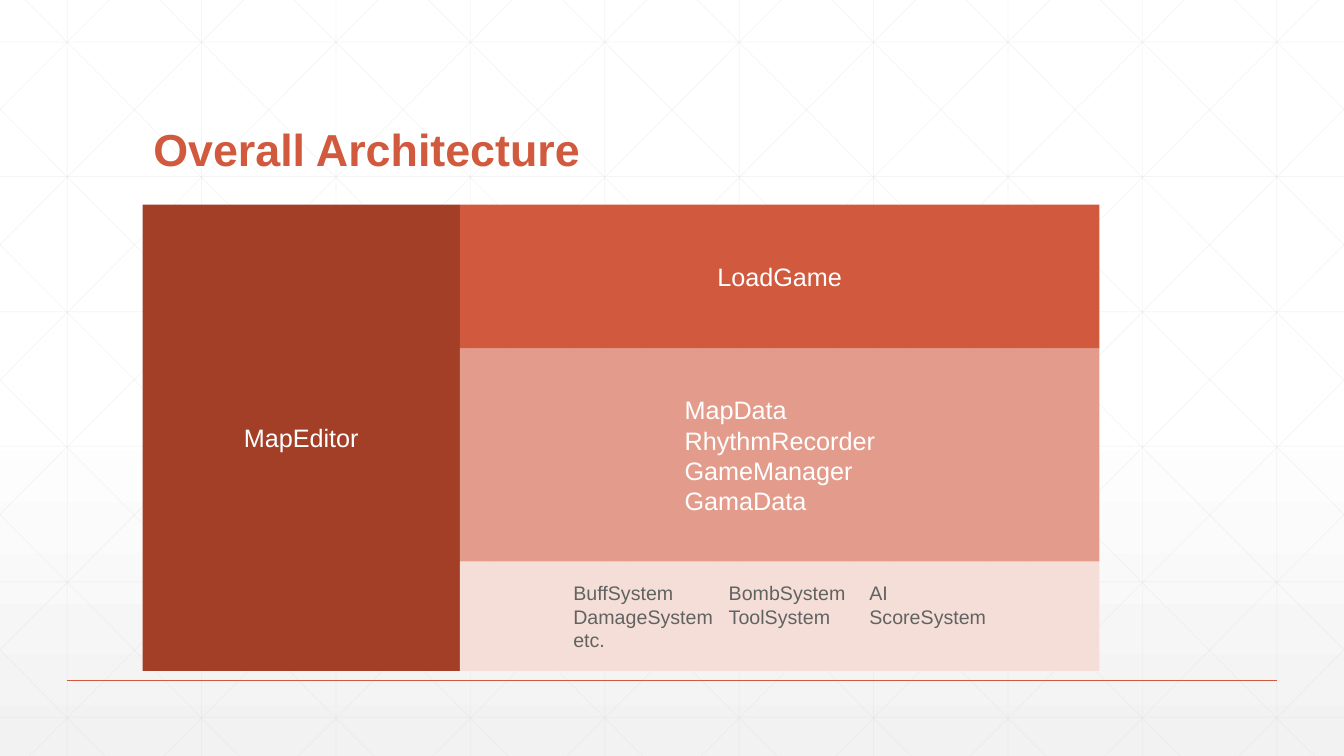
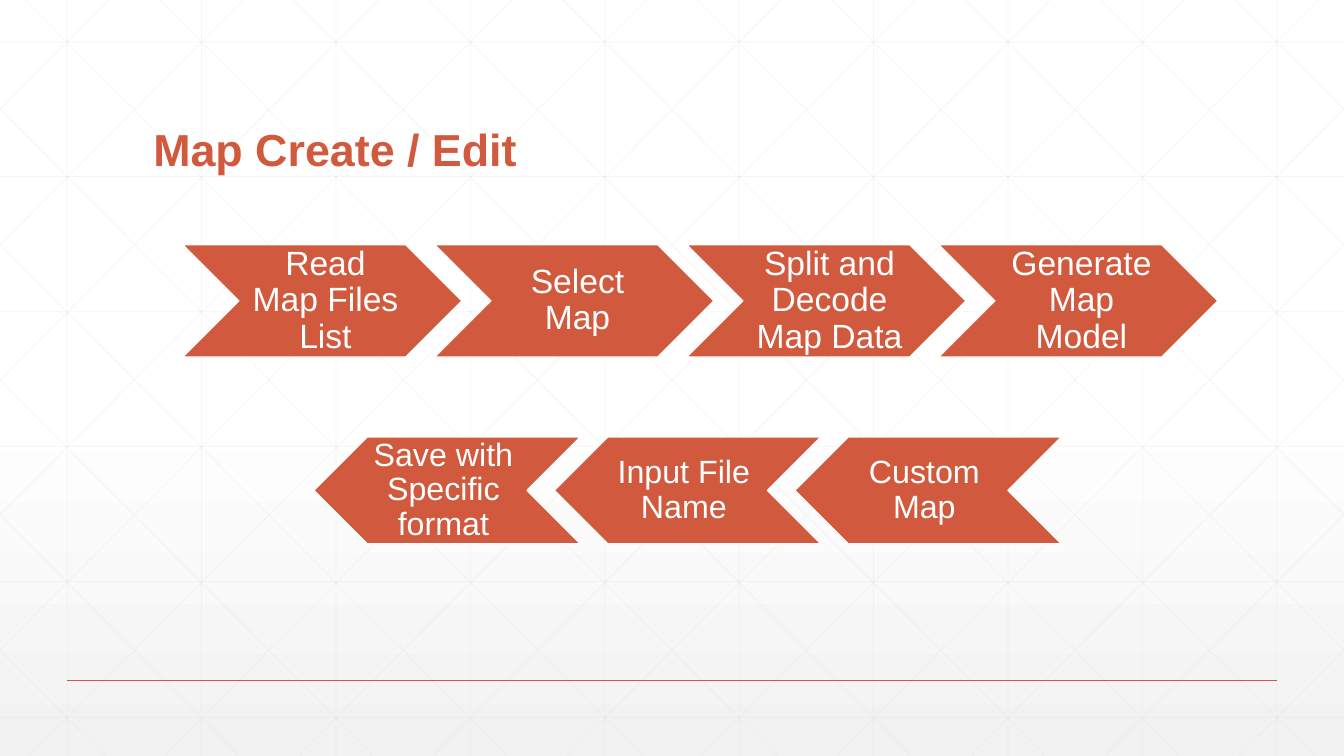
from pptx import Presentation
from pptx.dml.color import RGBColor
from pptx.enum.shapes import MSO_CONNECTOR as Connector, MSO_SHAPE as Preset
from pptx.enum.text import MSO_ANCHOR as Anchor, PP_ALIGN as Align
from pptx.oxml.ns import qn
from pptx.util import Pt
from lxml.etree import SubElement

PX = 9525  # EMU in one px, 96 px to the inch
WIDTH, HEIGHT = 1280, 720
FONT = "Arial"

WHITE = RGBColor(0xFF, 0xFF, 0xFF)
MIST = RGBColor(0xF2, 0xF2, 0xF2)
GRID_GRAY = RGBColor(0xD9, 0xD9, 0xD9)
TEXT_GRAY = RGBColor(0x61, 0x63, 0x61)
BRICK = RGBColor(0xD1, 0x5A, 0x3E)
DARK_BRICK = RGBColor(0xA4, 0x3F, 0x27)
SALMON = RGBColor(0xE3, 0x9C, 0x8B)
BLUSH = RGBColor(0xF6, 0xDE, 0xD8)


def emu(*lengths):
    return [round(length * PX) for length in lengths]


def write(shape, text, size=18, color=WHITE, bold=False, align=Align.LEFT,
          anchor=Anchor.MIDDLE, insets=(10, 5, 10, 5), spacing=None, tabs=()):
    """Fill a shape with text, one paragraph for each line."""
    frame = shape.text_frame
    frame.word_wrap = True
    frame.vertical_anchor = anchor
    (frame.margin_left, frame.margin_top,
     frame.margin_right, frame.margin_bottom) = emu(*insets)
    for number, line in enumerate(text.split("\n")):
        para = frame.add_paragraph() if number else frame.paragraphs[0]
        para.alignment = align
        if spacing:
            para.line_spacing = spacing
        if tabs:
            stops = SubElement(para._p.get_or_add_pPr(), qn("a:tabLst"))
            for stop in emu(*tabs):
                SubElement(stops, qn("a:tab"), pos=str(stop), algn="l")
        span = para.add_run()
        span.text = line
        font = span.font
        font.name, font.size, font.bold = FONT, Pt(size), bold
        font.color.rgb = color


def add_block(page, preset, box, fill, outline=None):
    shape = page.shapes.add_shape(preset, *emu(*box))
    shape.shadow.inherit = False
    shape.fill.solid()
    shape.fill.fore_color.rgb = fill
    if outline is None:
        shape.line.fill.background()
    else:
        shape.line.color.rgb = outline
        shape.line.width = Pt(1)
    return shape


def add_line(group, start, end, color, weight, opacity=100):
    line = group.shapes.add_connector(Connector.STRAIGHT, *emu(*start, *end))
    line.line.color.rgb = color
    line.line.width = Pt(weight)
    properties = line._element.spPr
    if opacity < 100:
        tint = properties.find(".//" + qn("a:srgbClr"))
        SubElement(tint, qn("a:alpha"), val=str(opacity * 1000))
    SubElement(properties, qn("a:effectLst"))


def set_backdrop(layout, page):
    """Give the layout its gradient, line pattern and footer rule."""
    for holder in list(layout.placeholders):
        holder.element.getparent().remove(holder.element)
    fill = layout.background.fill
    fill.gradient()
    fill.gradient_angle = 270
    for stop, color, position in zip(fill.gradient_stops, (WHITE, MIST), (0.53, 1)):
        stop.color.rgb = color
        stop.position = position

    # Upright and level lines
    segments = [((x, 0), (x, HEIGHT)) for x in range(64, WIDTH, 128)]
    levels = [40 + 643 * row // 5 for row in range(6)]
    segments += [((0, y), (WIDTH, y)) for y in levels]

    # Diagonals, clipped at the slide edges, each with its mirror image
    run = 716
    for top in range(24 - 5 * 128, WIDTH, 128):
        ends = [(x, (x - top) * HEIGHT // run)
                for x in (max(top, 0), min(top + run, WIDTH))]
        segments += [ends, [(WIDTH - x, y) for x, y in ends]]

    group = page.shapes.add_group_shape()
    for start, end in segments:
        add_line(group, start, end, GRID_GRAY, 0.5, opacity=25)
    add_line(group, (64, 648), (1216, 648), BRICK, 1)

    # Shapes can only be made on a page, so hand the group to the layout
    layout.shapes.element.append(group.element)


def add_title(page, text):
    box = page.shapes.add_textbox(*emu(136, 53, 1008, 120))
    write(box, text, size=32, color=BRICK, bold=True,
          anchor=Anchor.BOTTOM, spacing=0.9)


def architecture(page, left, top, width, height):
    """One tall panel beside a stack of three."""
    side = 302
    editor = add_block(page, Preset.RECTANGLE, (left, top, side, height), DARK_BRICK)
    write(editor, "MapEditor", align=Align.CENTER)

    layers = [
        (137, BRICK, "LoadGame", dict(align=Align.CENTER)),
        (203, SALMON, "MapData\nRhythmRecorder\nGameManager\nGamaData",
         dict(insets=(214, 5, 10, 5))),
        (104, BLUSH, "BuffSystem\tBombSystem\tAI\n"
                     "DamageSystem\tToolSystem\tScoreSystem\netc.",
         dict(insets=(108, 5, 10, 5), size=14, color=TEXT_GRAY, tabs=(148, 282))),
    ]
    for depth, fill, text, style in layers:
        box = (left + side, top, width - side, depth)
        write(add_block(page, Preset.RECTANGLE, box, fill), text, **style)
        top += depth


def chevron_row(page, left, top, width, height, pitch, steps, size, insets):
    """Chevrons in reading order; a negative pitch runs them leftward."""
    for number, step in enumerate(steps):
        box = (left + number * pitch, top, width, height)
        chevron = add_block(page, Preset.CHEVRON, box, BRICK, outline=WHITE)
        if pitch < 0:
            chevron.element.spPr.get_or_add_xfrm().flipH = True
        write(chevron, step, size=size, align=Align.CENTER,
              insets=insets, spacing=0.9)


def main():
    deck = Presentation()
    deck.slide_width, deck.slide_height = emu(WIDTH, HEIGHT)
    blank = deck.slide_layouts[6]

    # Overall architecture
    page = deck.slides.add_slide(blank)
    set_backdrop(blank, page)
    add_title(page, "Overall Architecture")
    architecture(page, 136, 195, 911, 444)

    # Map flow: there and back
    page = deck.slides.add_slide(blank)
    add_title(page, "Map Create / Edit")
    chevron_row(page, 757, 416, 254, 102, -229,
                ["Custom Map", "Input File Name", "Save with Specific format"],
                size=23, insets=(3, 3, 10, 3))
    chevron_row(page, 174, 233, 266, 107, 240,
                ["Read Map Files List", "Select Map",
                 "Split and Decode Map Data", "Generate Map Model"],
                size=24, insets=(10, 4, 4, 4))

    deck.save("out.pptx")


if __name__ == "__main__":
    main()
